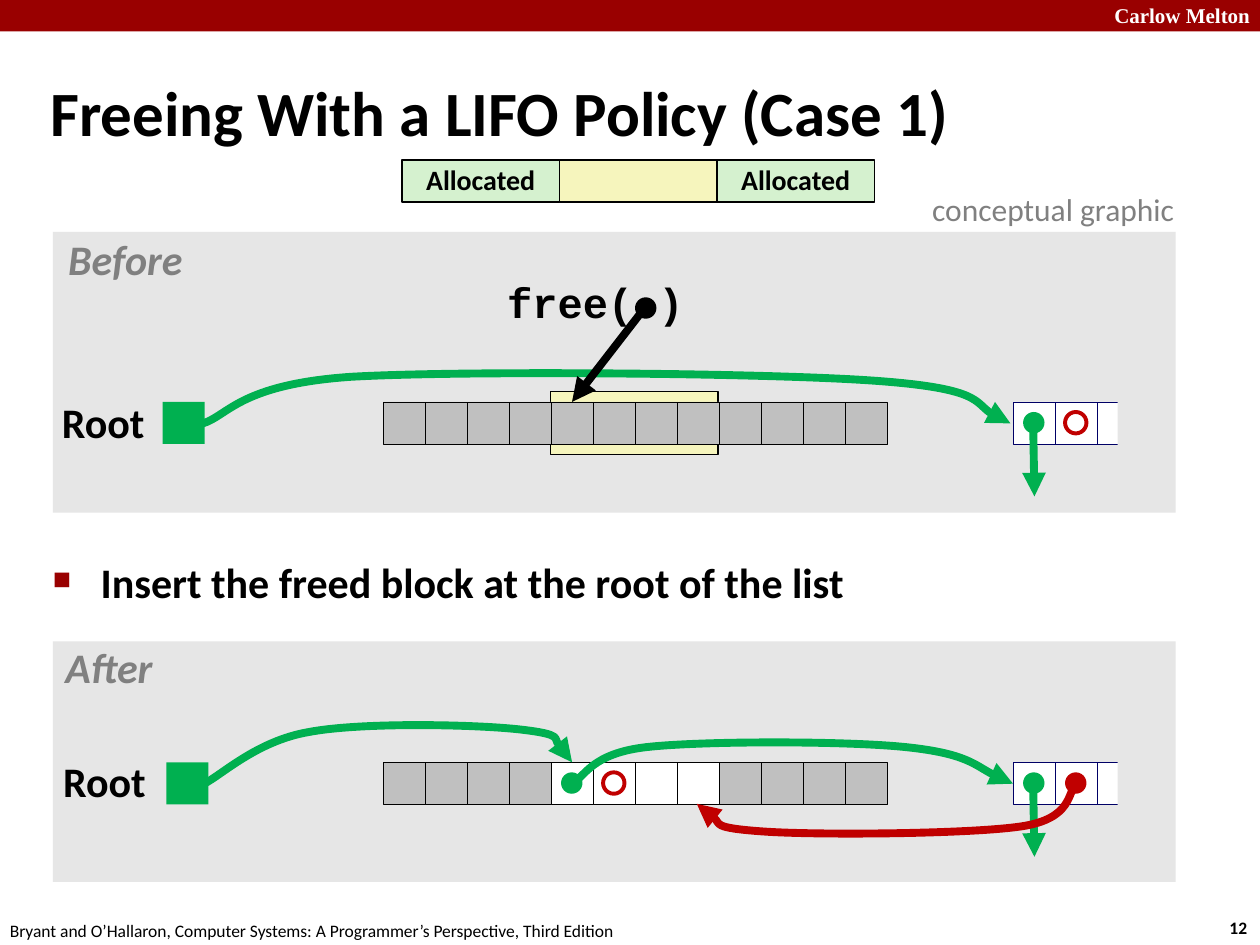
"""Build a slide on freeing a block under a LIFO policy, before and after."""
from lxml.etree import SubElement as Sub
from pptx import Presentation
from pptx.dml.color import RGBColor as Rgb
from pptx.enum.shapes import MSO_CONNECTOR as Conn, MSO_SHAPE as Shape
from pptx.enum.text import MSO_ANCHOR as Anchor, MSO_AUTO_SIZE as Auto, PP_ALIGN as Align
from pptx.oxml.ns import qn
from pptx.util import Inches, Pt

BLACK, WHITE = Rgb(0, 0, 0), Rgb(255, 255, 255)
MAROON, RED = Rgb(0x99, 0, 0), Rgb(0xC0, 0, 0)
GREEN, MINT = Rgb(0, 0xB0, 0x50), Rgb(0xD5, 0xF1, 0xCF)
CREAM, NAVY = Rgb(0xF6, 0xF5, 0xBD), Rgb(0, 0, 0x66)
PALE, SILVER, GREY = Rgb(0xE6, 0xE6, 0xE6), Rgb(0xC0, 0xC0, 0xC0), Rgb(0x80, 0x80, 0x80)

CELL = 1 / 3
ROW, TAIL = 3.04, 8.04
BEFORE, AFTER = 3.19, 6.05
BODY = {"name": "Calibri", "size": Pt(24), "bold": True}
NOTE = {"name": "Calibri", "size": Pt(10)}


def write(frame, text, form, color=BLACK, gap=1.0, align=Align.LEFT):
    para = frame.paragraphs[0]
    para.alignment, para.line_spacing = align, gap
    run = para.add_run()
    run.text = text
    for key, value in form.items():
        setattr(run.font, key, value)
    run.font.color.rgb = color
    return para


def label(slide, box, text, form, color=BLACK, gap=1.0, align=Align.LEFT,
          pad=None, **frame_form):
    frame = slide.shapes.add_textbox(*map(Inches, box)).text_frame
    form_all = {"word_wrap": False, "auto_size": Auto.SHAPE_TO_FIT_TEXT, **frame_form}
    if pad:
        sides = ("left", "top", "right", "bottom")
        form_all.update({f"margin_{side}": Inches(pad) for side in sides})
    for key, value in form_all.items():
        setattr(frame, key, value)
    return write(frame, text, form, color, gap, align)


def tag(slide, box, text, color=BLACK, **extra):
    label(slide, box, text, {**BODY, **extra}, color, 0.9, Align.CENTER, 0.05)


def block(slide, box, fill=None, line=None, width=0.25, kind=Shape.RECTANGLE):
    shape = slide.shapes.add_shape(kind, *map(Inches, box))
    shape.shadow.inherit = False
    if fill is None:
        shape.fill.background()
    else:
        shape.fill.solid()
        shape.fill.fore_color.rgb = fill
    if line is None:
        shape.line.fill.background()
    else:
        shape.line.color.rgb = line
        shape.line.width = Pt(width)
    return shape


def dot(slide, left, top, fill=None, line=None):
    block(slide, (left + 0.08, top + 0.08, 0.17, 0.17), fill, line, 2.25, Shape.OVAL)


def point(shape, color):
    shape.line.color.rgb = color
    shape.line.width = Pt(4.5)
    Sub(shape.line._get_or_add_ln(), qn("a:tailEnd"), type="triangle")


def arrow(slide, start, end, color):
    line = slide.shapes.add_connector(Conn.STRAIGHT, *map(Inches, start + end))
    point(line, color)
    Sub(line._element.spPr, qn("a:effectLst"))


def curve(slide, color, *knots):
    """Draw an arrow through Bezier knots: a start, then three per segment."""
    spots = [(Inches(x), Inches(y)) for x, y in knots]
    build = slide.shapes.build_freeform(*spots[0])
    build.add_line_segments(spots[1:], close=False)
    shape = build.convert_to_shape()
    shape.shadow.inherit = False
    shape.fill.background()
    point(shape, color)
    trace = shape._element.spPr.find(".//" + qn("a:path"))
    steps = trace.findall(qn("a:lnTo"))
    for i in range(0, len(steps), 3):
        bend = Sub(trace, qn("a:cubicBezTo"))
        for step in steps[i:i + 3]:
            bend.append(step[0])
            trace.remove(step)


def heap(slide, top, root, freed):
    block(slide, (root, top, CELL, CELL), GREEN)
    for i in range(12):
        fill = WHITE if i in freed else SILVER
        block(slide, (ROW + i * CELL, top, CELL, CELL), fill, BLACK)
    for i in range(3):
        block(slide, (TAIL + i * CELL, top, CELL, CELL), WHITE, NAVY)
    block(slide, (8.87, top - 0.08, CELL, 0.5), PALE)
    dot(slide, TAIL, top, GREEN)
    arrow(slide, (8.2, top + 0.17), (8.21, top + 0.75), GREEN)


def before(slide):
    block(slide, (0.42, 1.84, 8.91, 2.23), PALE)
    block(slide, (4.37, 3.11, 1.33, 0.5), CREAM, BLACK, 0.75)
    curve(slide, GREEN, (1.61, 3.36), (1.81, 3.3), (1.9, 3.05), (2.79, 2.99),
          (3.67, 2.94), (6.05, 2.96), (6.92, 3.02),
          (7.79, 3.08), (7.79, 3.29), (8.02, 3.36))
    heap(slide, BEFORE, 1.29, ())
    dot(slide, TAIL + CELL, BEFORE, line=RED)
    tag(slide, (3.97, 2.19, 1.51, 0.47), "free( )", name="Courier New")
    dot(slide, 4.96, 2.28, BLACK)
    arrow(slide, (5.12, 2.44), (4.54, 3.19), BLACK)
    tag(slide, (0.44, 3.14, 0.76, 0.47), "Root")
    tag(slide, (0.48, 1.85, 1.03, 0.47), "Before", GREY, italic=True)


def after(slide):
    block(slide, (0.42, 5.09, 8.91, 1.91), PALE)
    heap(slide, AFTER, 1.32, range(4, 8))
    freed = ROW + 4 * CELL
    dot(slide, freed, AFTER, GREEN)
    dot(slide, freed + CELL, AFTER, line=RED)
    dot(slide, TAIL + CELL, AFTER, RED)
    curve(slide, GREEN, (4.54, 6.22), (4.64, 6.17), (4.69, 5.98), (5.13, 5.93),
          (5.57, 5.88), (6.71, 5.88), (7.19, 5.93),
          (7.67, 5.98), (7.86, 6.16), (8.04, 6.22))
    curve(slide, RED, (8.54, 6.23), (8.47, 6.28), (8.52, 6.5), (8.1, 6.56),
          (7.69, 6.62), (6.49, 6.63), (6.06, 6.6),
          (5.63, 6.57), (5.64, 6.43), (5.53, 6.38))
    curve(slide, GREEN, (1.62, 6.22), (1.76, 6.15), (2.04, 5.88), (2.45, 5.81),
          (2.87, 5.73), (3.78, 5.75), (4.13, 5.79),
          (4.48, 5.83), (4.46, 5.99), (4.54, 6.05))
    tag(slide, (0.45, 5.99, 0.76, 0.47), "Root")
    tag(slide, (0.46, 5.09, 0.81, 0.47), "After", GREY, italic=True)


def legend(slide):
    for i, text in enumerate(("Allocated", "", "Allocated")):
        fill = MINT if text else CREAM
        shape = block(slide, (3.19 + 1.25 * i, 1.27, 1.25, CELL), fill, BLACK, 1)
        if text:
            frame = shape.text_frame
            frame.word_wrap, frame.vertical_anchor = False, Anchor.MIDDLE
            write(frame, text, {**BODY, "size": Pt(16)}, BLACK, 0.98, Align.CENTER)
    label(slide, (7.3, 1.46, 2.17, 0.4), "conceptual graphic",
          {**NOTE, "size": Pt(18)}, GREY)


def bullet(slide):
    para = label(slide, (0.32, 4.4, 9.09, 0.61),
                 "Insert the freed block at the root of the list", BODY,
                 gap=0.95, word_wrap=True, auto_size=Auto.NONE)
    props = para._p.get_or_add_pPr()
    for key, value in {"marL": 0.38, "indent": -0.38}.items():
        props.set(key, str(Inches(value)))
    Sub(Sub(props, qn("a:buClr")), qn("a:srgbClr"), val=str(MAROON))
    Sub(props, qn("a:buSzPct"), val="60000")
    Sub(props, qn("a:buChar"), char="■")


def edges(slide):
    block(slide, (0, 0, 10, 0.25), MAROON)
    label(slide, (8.59, -0.03, 1.43, 0.3), "Carlow Melton",
          {"name": "Times New Roman", "size": Pt(12), "bold": True}, WHITE,
          align=Align.RIGHT, word_wrap=True)
    label(slide, (9.66, 7.23, 0.37, 0.27), "12", {**NOTE, "bold": True})
    label(slide, (-0.02, 7.25, 5.08, 0.27), "Bryant and O’Hallaron, Computer Systems: "
          "A Programmer’s Perspective, Third Edition", NOTE)
    label(slide, (0.3, 0.5, 9.53, 0.86), "Freeing With a LIFO Policy (Case 1)",
          {**BODY, "size": Pt(36)}, gap=0.87, word_wrap=True,
          auto_size=Auto.NONE, vertical_anchor=Anchor.MIDDLE)


def main():
    deck = Presentation()
    deck.slide_width, deck.slide_height = Inches(10), Inches(7.5)
    slide = deck.slides.add_slide(deck.slide_layouts[6])
    for draw in (edges, before, bullet, after, legend):
        draw(slide)
    deck.save("out.pptx")


if __name__ == "__main__":
    main()
